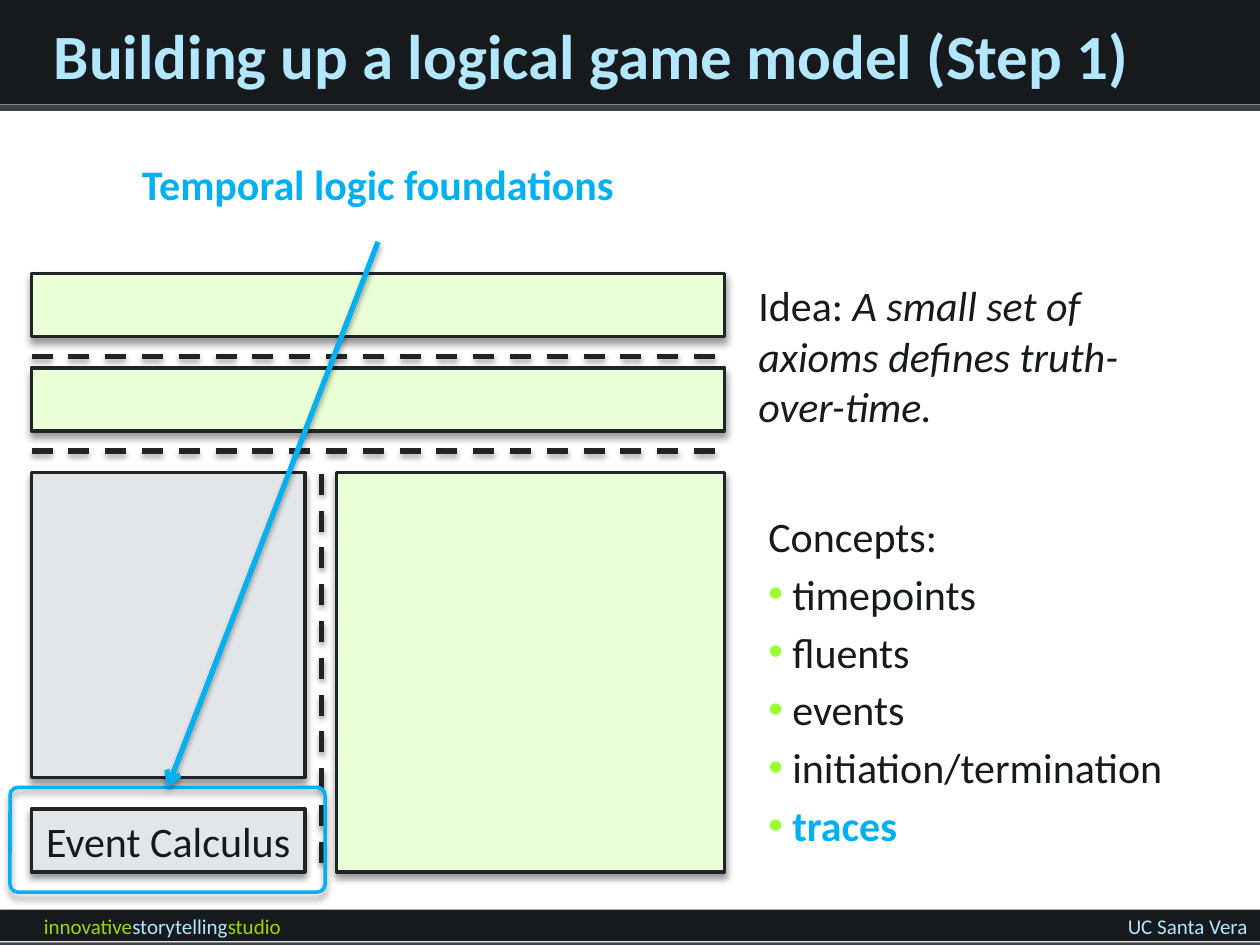
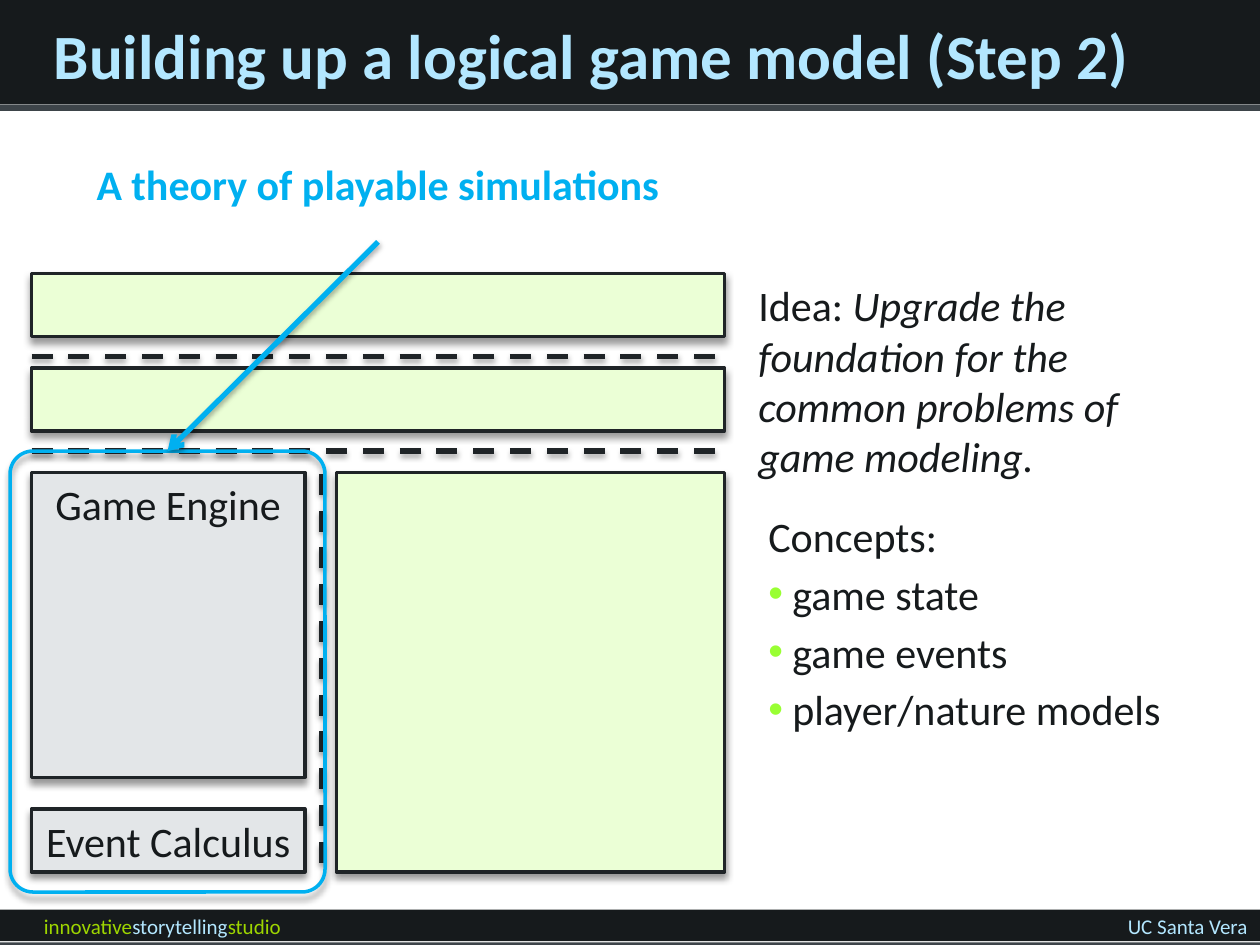
"""Builds two slides on layering a logical game model."""
from lxml.etree import SubElement
from pptx import Presentation
from pptx.dml.color import RGBColor
from pptx.enum.dml import MSO_LINE
from pptx.enum.shapes import MSO_CONNECTOR, MSO_SHAPE
from pptx.enum.text import MSO_ANCHOR, PP_ALIGN
from pptx.oxml.ns import qn
from pptx.util import Inches, Pt

FONT = "Calibri"
INK = RGBColor(0x16, 0x1A, 0x1C)
EDGE = RGBColor(0x1F, 0x24, 0x27)
SLATE = RGBColor(0x3D, 0x44, 0x49)
GREY = RGBColor(0xE3, 0xE6, 0xE8)
MINT = RGBColor(0xEB, 0xFF, 0xD6)
LIME = RGBColor(0x9E, 0xD6, 0x00)
BULLET = RGBColor(0x99, 0xFF, 0x33)
SKY = RGBColor(0xB3, 0xE7, 0xFF)
ACCENT = RGBColor(0x00, 0xB0, 0xF0)

LEFT, MODEL_WIDTH, COLUMN_WIDTH = 0.25, 5.5, 2.17
LAYER_TOP, LAYER_HEIGHT, LAYER_STEP = 2.17, 0.5, 0.75
LOWER_TOP = 3.75
HIGHLIGHT_BOTTOM = 7.08

STEPS = [
    {
        "title": "Building up a logical game model (Step 1)",
        "heading": "Temporal logic foundations",
        "idea": "A small set of axioms defines truth-over-time.",
        "idea_width": 3.5,
        "engine": "",
        "highlight_top": 6.25,
        "concepts": ["timepoints", "fluents", "events", "initiation/termination"],
        "key_concept": "traces",
    },
    {
        "title": "Building up a logical game model (Step 2)",
        "heading": "A theory of playable simulations",
        "idea": "Upgrade the foundation for the common problems of game modeling.",
        "idea_width": 3.83,
        "engine": "Game Engine",
        "highlight_top": 3.58,
        "concepts": ["game state", "game events", "player/nature models"],
        "key_concept": "",
    },
]


def add_shadow(effects, opacity, blur, distance):
    """Put a soft black shadow, cast straight down, in an effect list."""
    shadow = SubElement(effects, qn("a:outerShdw"), blurRad=str(Pt(blur)),
                        dist=str(Pt(distance)), dir="5400000", rotWithShape="0")
    black = SubElement(shadow, qn("a:srgbClr"), val="000000")
    SubElement(black, qn("a:alpha"), val=str(opacity * 1000))


def write_text(box, paragraphs, size=24, color=INK, bold=False,
               align=PP_ALIGN.LEFT, anchor=MSO_ANCHOR.TOP):
    """Write paragraphs, each a list of (text, format changes), in a shape."""
    frame = box.text_frame
    frame.word_wrap = True
    frame.vertical_anchor = anchor
    for index, spans in enumerate(paragraphs):
        para = frame.add_paragraph() if index else frame.paragraphs[0]
        para.alignment = align
        for text, changes in spans:
            span = para.add_run()
            span.text = text
            span.font.name = FONT
            span.font.size = Pt(size)
            span.font.bold = changes.get("bold", bold)
            span.font.italic = changes.get("italic", False)
            span.font.color.rgb = changes.get("color", color)


def add_text(page, left, top, width, height, paragraphs, **style):
    """Add a text box."""
    box = page.shapes.add_textbox(Inches(left), Inches(top), Inches(width), Inches(height))
    write_text(box, paragraphs, **style)
    return box


def add_band(page, top, height, color):
    """Add a plain band across the page."""
    band = page.shapes.add_shape(MSO_SHAPE.RECTANGLE, 0, Inches(top),
                                 Inches(10), Inches(height))
    band.fill.solid()
    band.fill.fore_color.rgb = color
    band.line.fill.background()
    band.shadow.inherit = False


def add_block(page, left, top, width, height, fill=None, edge=EDGE,
              kind=MSO_SHAPE.RECTANGLE, label=""):
    """Add an outlined block with a shadow and an optional label."""
    block = page.shapes.add_shape(kind, Inches(left), Inches(top),
                                  Inches(width), Inches(height))
    if fill is None:
        block.fill.background()
    else:
        block.fill.solid()
        block.fill.fore_color.rgb = fill
    block.line.color.rgb = edge
    block.line.width = Pt(2)
    block.shadow.inherit = False
    add_shadow(block._element.spPr.find(qn("a:effectLst")), 40, 4, 3)
    if label:
        write_text(block, [[(label, {})]], align=PP_ALIGN.CENTER)
    return block


def add_line(page, start, end, color=EDGE, dash=None, arrow=False):
    """Add a straight line with a shadow, dashed or arrowed on request."""
    line = page.shapes.add_connector(MSO_CONNECTOR.STRAIGHT,
                                     *(Inches(value) for value in start + end))
    line.line.color.rgb = color
    line.line.width = Pt(3)
    if dash:
        line.line.dash_style = dash
    properties = line._element.spPr
    if arrow:
        SubElement(properties.find(qn("a:ln")), qn("a:tailEnd"), type="arrow")
    add_shadow(SubElement(properties, qn("a:effectLst")), 35, 3.1, 1.8)
    return line


def add_bullet(para):
    """Give a paragraph a green bullet and a hanging indent."""
    para.space_before = Pt(4.3)
    properties = para._p.get_or_add_pPr()
    properties.set("marL", str(Inches(0.19)))
    properties.set("indent", str(-Inches(0.19)))
    color = SubElement(properties, qn("a:buClr"))
    SubElement(color, qn("a:srgbClr"), val=str(BULLET))
    SubElement(properties, qn("a:buFont"), typeface="Arial")
    SubElement(properties, qn("a:buChar"), char="•")


def add_frame(page, title):
    """Add the bands, the footers and the title."""
    for top, height, color in [(0, 0.83, INK), (7.22, 0.25, INK),
                               (0.83, 0.05, SLATE), (7.48, 0.05, SLATE)]:
        add_band(page, top, height, color)
    studio = [("innovative", {}), ("storytelling", {"color": SKY}), ("studio", {})]
    add_text(page, LEFT, 7.2, 3.92, 0.3, [studio], size=12, color=LIME)
    add_text(page, 6.67, 7.2, 3.33, 0.3, [[("UC Santa Vera", {})]],
             size=12, color=SKY, align=PP_ALIGN.RIGHT)
    add_text(page, 0.33, 0, 9, 0.87, [[(title, {})]], size=36, color=SKY,
             bold=True, anchor=MSO_ANCHOR.MIDDLE)


def add_model(page, engine):
    """Add the layers of the game model and the dashed lines between them."""
    right = LEFT + MODEL_WIDTH
    add_line(page, (2.55, 3.76), (2.55, 6.93), dash=MSO_LINE.DASH)
    for height in (3.58, 2.83):
        add_line(page, (LEFT, height), (right, height), dash=MSO_LINE.DASH)
    add_block(page, LEFT, 6.42, COLUMN_WIDTH, LAYER_HEIGHT, GREY, label="Event Calculus")
    add_block(page, LEFT, LOWER_TOP, COLUMN_WIDTH, 2.42, GREY, label=engine)
    add_block(page, 2.67, LOWER_TOP, 3.08, 3.17, MINT)
    for row in (1, 0):
        add_block(page, LEFT, LAYER_TOP + row * LAYER_STEP, MODEL_WIDTH, LAYER_HEIGHT, MINT)


def add_callout(page, heading, top):
    """Outline the part under discussion and point to it from the heading."""
    highlight = add_block(page, 0.08, top, 2.5, HIGHLIGHT_BOTTOM - top,
                          edge=ACCENT, kind=MSO_SHAPE.ROUNDED_RECTANGLE)
    highlight.adjustments[0] = 0.073
    caption = add_text(page, LEFT, 1, MODEL_WIDTH, 0.92, [[(heading, {})]], color=ACCENT,
                       bold=True, align=PP_ALIGN.CENTER, anchor=MSO_ANCHOR.MIDDLE)
    pointer = add_line(page, (3, 1.92), (1.33, top), color=ACCENT, arrow=True)
    pointer.begin_connect(caption, 2)
    pointer.end_connect(highlight, 0)


def add_notions(page, step):
    """Add the idea and the bulleted concepts."""
    idea = [("Idea: ", {}), (step["idea"], {"italic": True})]
    add_text(page, 5.92, LAYER_TOP, step["idea_width"], 1.72, [idea])
    paragraphs = [[(text, {})] for text in ["Concepts:"] + step["concepts"]]
    if step["key_concept"]:
        paragraphs.append([(step["key_concept"], {"color": ACCENT, "bold": True})])
    box = add_text(page, 6, 4, 3.5, 2.93, paragraphs)
    for para in box.text_frame.paragraphs[1:]:
        add_bullet(para)


def main():
    """Build and save the deck."""
    deck = Presentation()
    deck.slide_width, deck.slide_height = Inches(10), Inches(7.5)
    for step in STEPS:
        page = deck.slides.add_slide(deck.slide_layouts[6])
        add_frame(page, step["title"])
        add_model(page, step["engine"])
        add_callout(page, step["heading"], step["highlight_top"])
        add_notions(page, step)
    deck.save("out.pptx")


if __name__ == "__main__":
    main()
